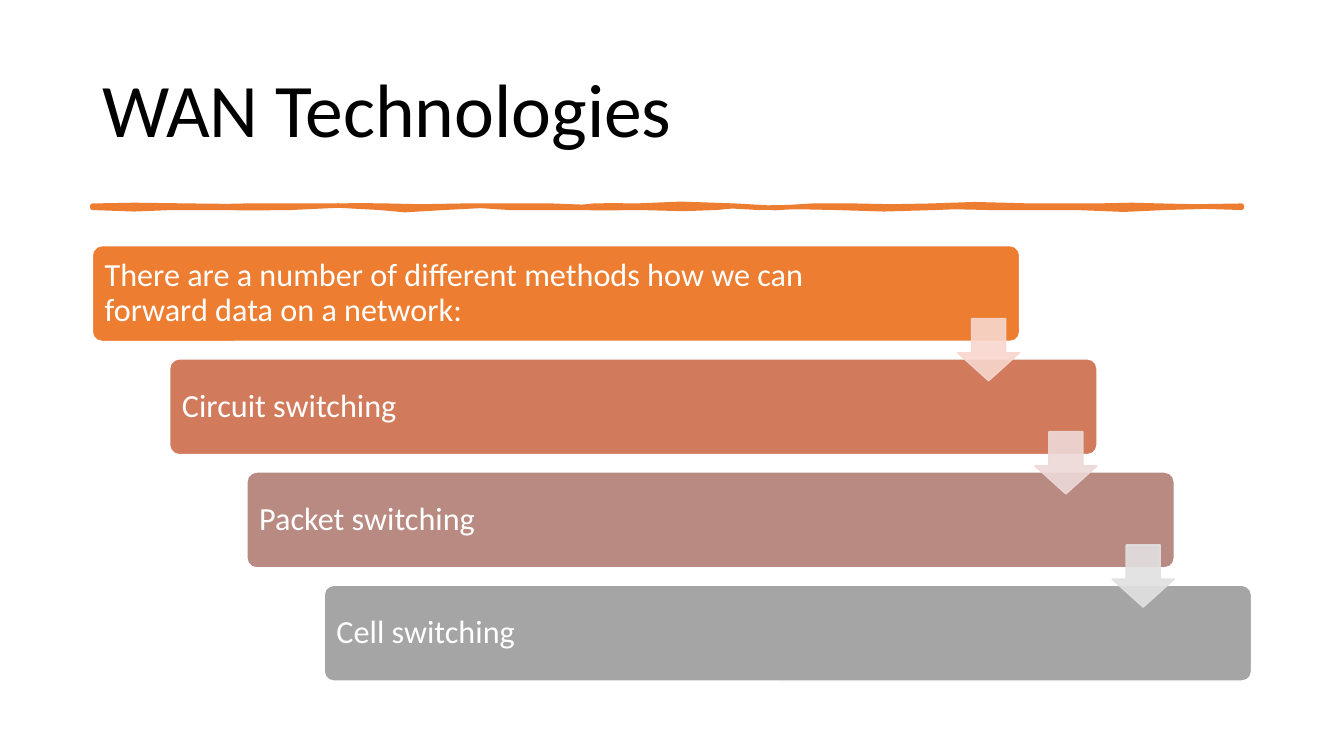
from lxml import etree
from pptx import Presentation
from pptx.dml.color import RGBColor
from pptx.enum.shapes import MSO_SHAPE as Shape
from pptx.enum.text import MSO_ANCHOR as Anchor, PP_ALIGN as Align
from pptx.oxml.ns import qn
from pptx.util import Pt

FONT = "Calibri"
BLACK = RGBColor(0x00, 0x00, 0x00)
WHITE = RGBColor(0xFF, 0xFF, 0xFF)
ORANGE = RGBColor(0xED, 0x7D, 0x31)
CORAL = RGBColor(0xD1, 0x7B, 0x5C)
ROSE = RGBColor(0xB9, 0x8A, 0x82)
GRAY = RGBColor(0xA5, 0xA5, 0xA5)
PEACH = RGBColor(0xF8, 0xD7, 0xCE)
PINK = RGBColor(0xED, 0xD9, 0xD7)
SILVER = RGBColor(0xE1, 0xE1, 0xE1)

STEPS = [
    ("There are a number of different methods how we can forward data on a network:", ORANGE),
    ("Circuit switching", CORAL),
    ("Packet switching", ROSE),
    ("Cell switching", GRAY),
]
ARROWS = [PEACH, PINK, SILVER]

# Curves of the brush stroke: two control points (x, y) and the end x,
# on a scale where the stroke is SPAN long and its edges THICK apart.
SPAN, THICK = 1140, 2
UPPER = [
    (27, 0, 52, -2, 98), (145, 2, 128, -1, 152), (175, 1, 211, -1, 239),
    (268, 1, 267, -2, 292), (318, 2, 331, 0, 368), (406, 1, 422, -1, 456),
    (489, 1, 489, 2, 497), (506, -2, 523, 1, 539), (555, -1, 609, -4, 638),
    (667, 4, 689, 2, 714), (739, -2, 735, 2, 756), (776, -2, 809, 4, 832),
    (855, -4, 890, 0, 931), (971, 0, 971, 0, 995), (1020, 0, 1044, -2, 1060),
    (1076, 2, 1111, 0, 1140),
]
LOWER = [
    (1113, 0, 1097, -3, 1064), (1030, 3, 1018, 2, 976), (935, -2, 931, 2, 889),
    (847, -2, 860, 0, 836), (812, 0, 759, 4, 737), (714, -4, 690, 2, 661),
    (632, -2, 633, -2, 619), (606, 2, 569, 1, 543), (517, -1, 498, 2, 478),
    (459, -2, 436, 2, 414), (391, -2, 381, -3, 349), (317, 3, 298, 3, 285),
    (271, -3, 218, -3, 197), (176, 3, 143, -2, 121), (100, 2, 97, -2, 79),
    (62, 2, 22, 2, 0),
]


def paint(shape, fill, line, width):
    shape.shadow.inherit = False
    shape.fill.solid()
    shape.fill.fore_color.rgb = fill
    shape.line.color.rgb = line
    shape.line.width = Pt(width)


def write(shape, text, size, color):
    frame = shape.text_frame
    frame.word_wrap = True
    frame.vertical_anchor = Anchor.MIDDLE
    para = frame.paragraphs[0]
    para.text = text
    para.alignment = Align.LEFT
    para.line_spacing = 0.9
    para.font.name = FONT
    para.font.size = Pt(size)
    para.font.color.rgb = color


def add_title(slide, left, top, width, height):
    box = slide.shapes.add_textbox(Pt(left), Pt(top), Pt(width), Pt(height))
    write(box, "WAN Technologies", 54, BLACK)


def trace(curves, start, base, parts=2):
    """Return points along a chain of cubic curves whose ends lie at y = base."""
    points = []
    for ax, ay, bx, by, end in curves:
        for i in range(1, parts + 1):
            t = i / parts
            u = 1 - t
            a, b = 3 * u * u * t, 3 * u * t * t
            points.append((u**3 * start + a * ax + b * bx + t**3 * end,
                           base + a * ay + b * by))
        start = end
    return points


def add_stroke(slide, left, top, width):
    unit = width / SPAN
    edge = trace(UPPER, 0, 0) + [(SPAN, THICK)] + trace(LOWER, SPAN, THICK)
    pen = slide.shapes.build_freeform(Pt(left), Pt(top))
    pen.add_line_segments([(Pt(left + x * unit), Pt(top + y * unit)) for x, y in edge])
    stroke = pen.convert_to_shape()
    paint(stroke, ORANGE, ORANGE, 3.25)
    etree.SubElement(stroke.line._get_or_add_ln(), qn("a:round"))


def add_bar(slide, left, top, width, height, text, color):
    bar = slide.shapes.add_shape(Shape.ROUNDED_RECTANGLE, Pt(left), Pt(top), Pt(width), Pt(height))
    bar.adjustments[0] = 0.1
    paint(bar, color, WHITE, 1)
    write(bar, text, 23, WHITE)
    bar.text_frame.margin_left = Pt(6.8)
    bar.text_frame.margin_right = Pt(83)


def add_arrow(slide, left, top, side, color):
    arrow = slide.shapes.add_shape(Shape.DOWN_ARROW, Pt(left), Pt(top), Pt(side), Pt(side))
    arrow.adjustments[0] = 0.55
    arrow.adjustments[1] = 0.45
    paint(arrow, color, color, 1)
    for tint in arrow._element.spPr.iter(qn("a:srgbClr")):
        etree.SubElement(tint, qn("a:alpha"), val="90000")


def add_stairs(slide, left, top, width, height):
    """Place the bars as descending steps, with an arrow from each to the next."""
    wide, high = 0.8 * width, 0.22 * height
    gaps = len(STEPS) - 1
    dx, dy = (width - wide) / gaps, (height - high) / gaps
    side = 0.65 * high
    for i, (text, color) in enumerate(STEPS):
        add_bar(slide, left + i * dx, top + i * dy, wide, high, text, color)
    for i, color in enumerate(ARROWS):
        add_arrow(slide, left + i * dx + wide - side, top + i * dy + 0.76 * high, side, color)


def main():
    deck = Presentation()
    deck.slide_width, deck.slide_height = Pt(960), Pt(540)
    slide = deck.slides.add_slide(deck.slide_layouts[6])
    add_title(slide, 66, 28.5, 828, 104.4)
    add_stroke(slide, 66, 147, 821)
    add_stairs(slide, 66, 175.5, 828, 311)
    deck.save("out.pptx")


if __name__ == "__main__":
    main()
